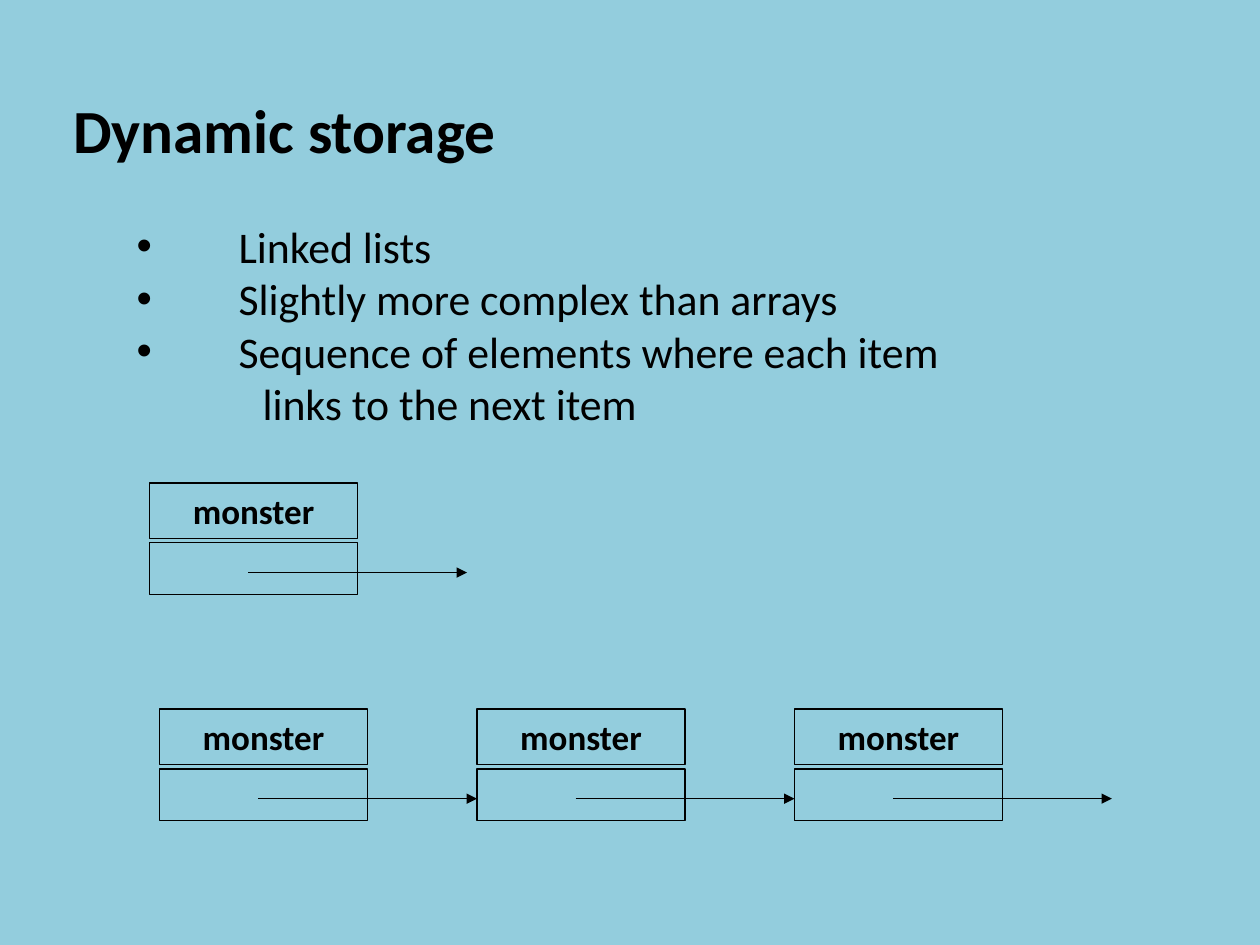
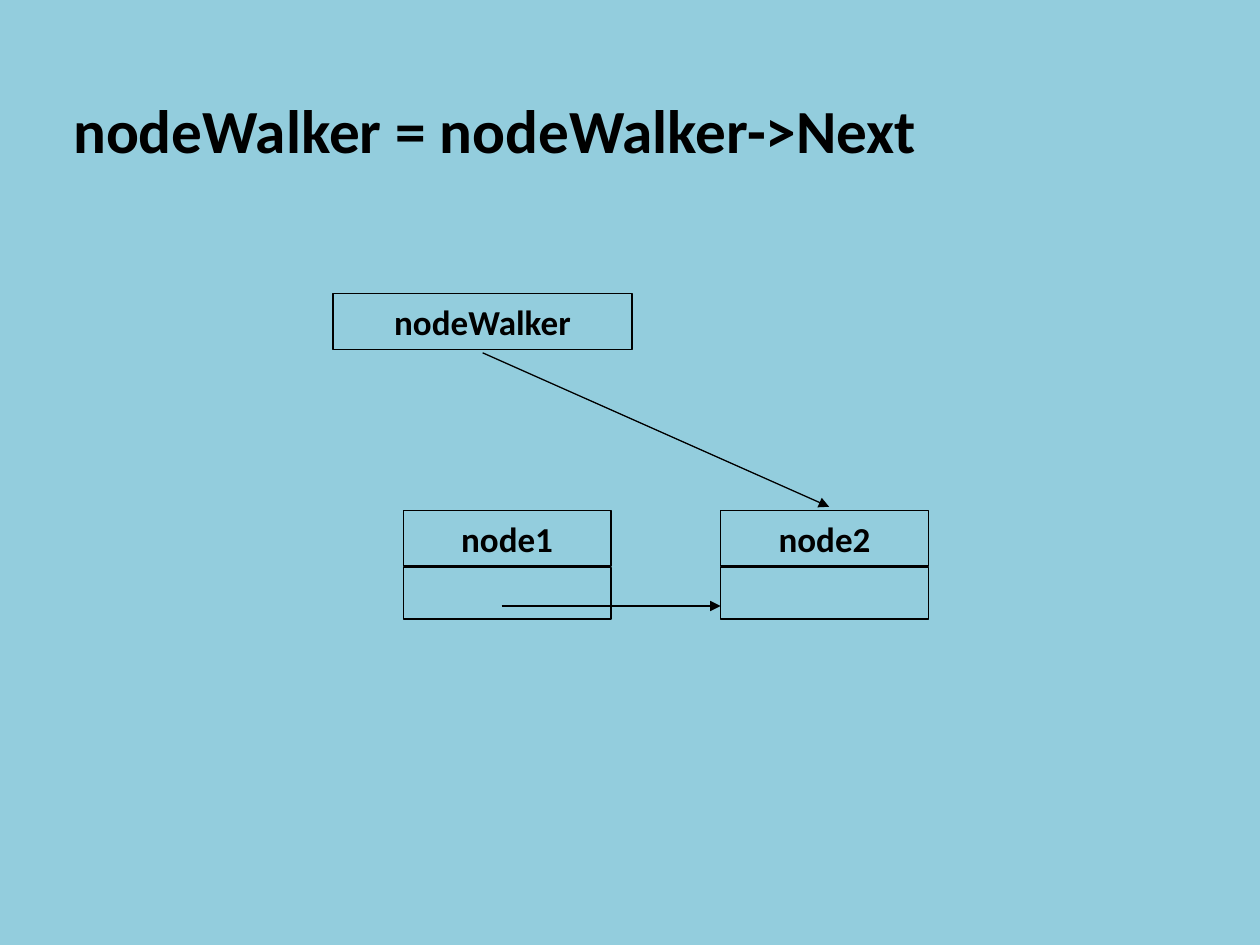
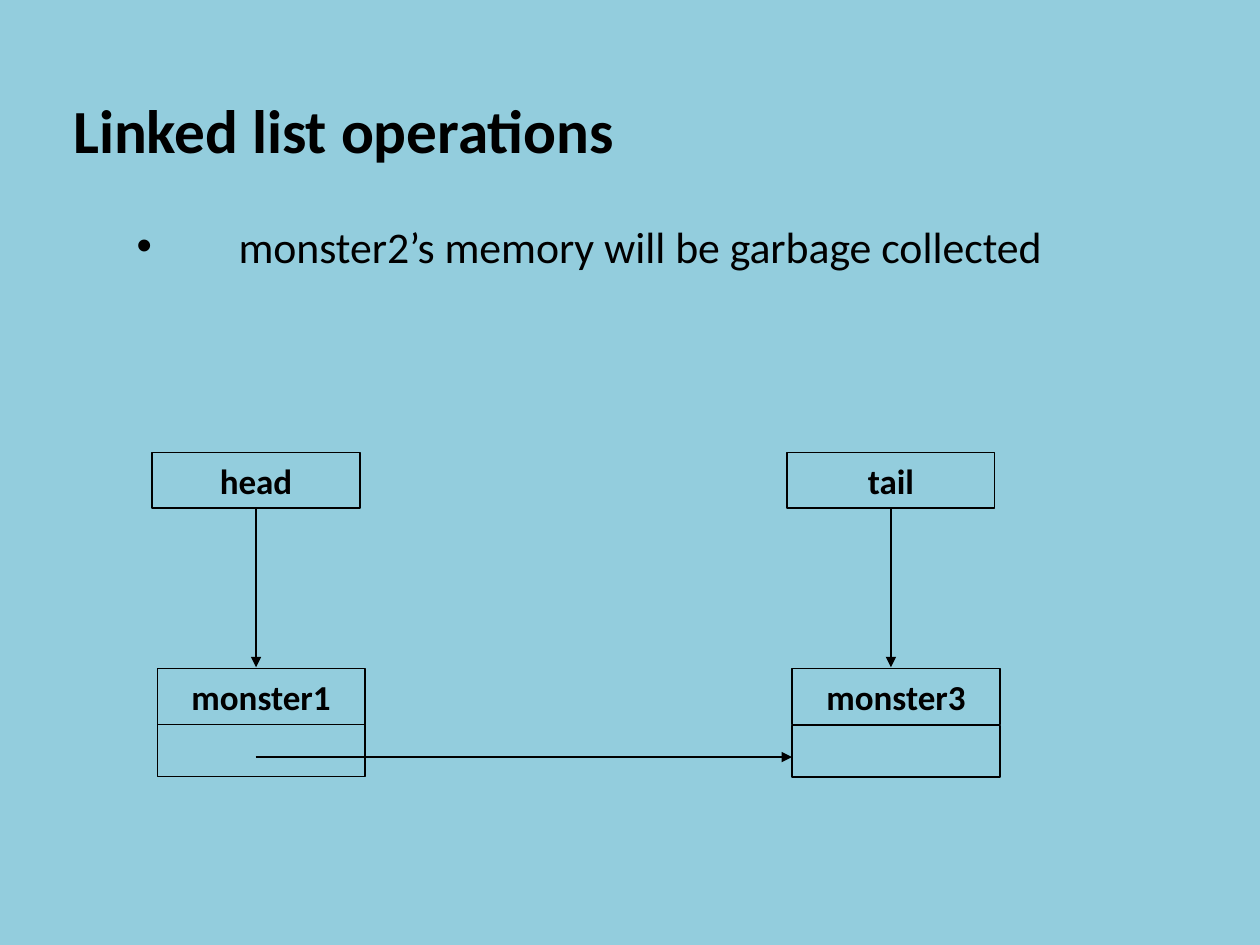
"""Build three slides that explain linked lists with node diagrams."""
from lxml import etree
from pptx import Presentation
from pptx import util as u
from pptx.dml import color
from pptx.enum import shapes, text
from pptx.oxml import ns

FONT = "Calibri"
INK = "000000"
BACKDROP = "93CDDD"
LINE_WIDTH = 0.75
BOX_WIDTH, LABEL_HEIGHT, POINTER_HEIGHT = 118.8, 31.7, 29.5
LINK_START = 56.3
NODE_PITCH = 181.4
TITLE_BOX = (41.8, 52.5, 660, 43)
LIST_LEFT, LIST_TOP, LIST_WIDTH, LIST_PITCH = 78, 125.5, 620, 30
LIST_INDENT, CONTINUATION_INDENT = 58.3, 72


def paint(target, value):
    """Give a fill, line or font colour a hex value."""
    target.rgb = color.RGBColor.from_string(value)


def place(shape, left, top, width, height):
    """Move and size a shape, in points."""
    shape.left, shape.top = u.Pt(left), u.Pt(top)
    shape.width, shape.height = u.Pt(width), u.Pt(height)


def style_font(para, size, bold):
    """Apply the shared typeface and colour to a paragraph."""
    para.font.name, para.font.size, para.font.bold = FONT, u.Pt(size), bold
    paint(para.font.color, INK)


def clear_frame(frame, anchor):
    """Remove insets and automatic fitting from a text frame."""
    frame.margin_left = frame.margin_right = 0
    frame.margin_top = frame.margin_bottom = 0
    frame.auto_size = text.MSO_AUTO_SIZE.NONE
    frame.word_wrap = True
    frame.vertical_anchor = anchor


def add_page(deck, title, items=(), continuation=None):
    """Add a slide with a title and, if there are items, a bulleted list."""
    page = deck.slides.add_slide(deck.slide_layouts[1 if items else 5])
    heading = page.shapes.title
    place(heading, *TITLE_BOX)
    clear_frame(heading.text_frame, text.MSO_ANCHOR.MIDDLE)
    heading.text_frame.text = title
    para = heading.text_frame.paragraphs[0]
    para.alignment = text.PP_ALIGN.LEFT
    style_font(para, 35, True)
    if items:
        fill_list(page.placeholders[1], items, continuation)
    return page


def fill_list(body, items, continuation):
    """Write bulleted items and an optional unbulleted last line."""
    lines = list(items) + ([continuation] if continuation else [])
    place(body, LIST_LEFT, LIST_TOP, LIST_WIDTH, LIST_PITCH * len(lines))
    frame = body.text_frame
    clear_frame(frame, text.MSO_ANCHOR.TOP)
    frame.text = "\n".join(lines)
    for para in frame.paragraphs:
        style_font(para, 25, False)
        para.space_before = u.Pt(0)
        para.line_spacing = u.Pt(LIST_PITCH)
        set_indent(para, LIST_INDENT, -LIST_INDENT)
    if continuation:
        set_indent(para, CONTINUATION_INDENT, 0)
        etree.SubElement(para._p.get_or_add_pPr(), ns.qn("a:buNone"))


def set_indent(para, margin, first):
    """Set the left margin and first-line indent of a paragraph."""
    properties = para._p.get_or_add_pPr()
    properties.set("marL", str(u.Pt(margin)))
    properties.set("indent", str(u.Pt(first)))


def add_box(page, left, top, width, height, label=None):
    """Add an outlined rectangle with an optional bold label."""
    box = page.shapes.add_shape(shapes.MSO_SHAPE.RECTANGLE, 0, 0, 0, 0)
    place(box, left, top, width, height)
    box.shadow.inherit = False
    box.fill.background()
    paint(box.line.color, INK)
    box.line.width = u.Pt(LINE_WIDTH)
    if label:
        box.text_frame.text = label
        para = box.text_frame.paragraphs[0]
        para.alignment = text.PP_ALIGN.CENTER
        style_font(para, 20, True)


def add_arrow(page, start, end):
    """Add a straight line with an arrowhead at its end."""
    arrow = page.shapes.add_connector(
        shapes.MSO_CONNECTOR.STRAIGHT, *map(u.Pt, start + end))
    paint(arrow.line.color, INK)
    arrow.line.width = u.Pt(LINE_WIDTH)
    properties = arrow._element.spPr
    etree.SubElement(properties.get_or_add_ln(), ns.qn("a:tailEnd"), type="triangle")
    etree.SubElement(properties, ns.qn("a:effectLst"))


def add_node(page, left, top, label, pointer_top, link_top=None, reach=NODE_PITCH):
    """Add a label box over a pointer box, with a link that spans the reach."""
    add_box(page, left, top, BOX_WIDTH, LABEL_HEIGHT, label)
    add_box(page, left, top + pointer_top, BOX_WIDTH, POINTER_HEIGHT)
    if link_top:
        height = top + link_top
        add_arrow(page, (left + LINK_START, height), (left + reach, height))


def build_storage(deck):
    """Show one node and a chain of three."""
    page = add_page(
        deck, "Dynamic storage",
        ["Linked lists", "Slightly more complex than arrays",
         "Sequence of elements where each item"],
        "links to the next item")
    spots = [(85.5, 276)] + [(91.2 + NODE_PITCH * i, 405.2) for i in range(3)]
    for left, top in spots:
        add_node(page, left, top, "monster", 34.2, 51.2)


def build_walker(deck):
    """Show the walker moving on to the second node."""
    page = add_page(deck, "nodeWalker = nodeWalker->Next")
    left, top = 230.4, 291.8
    add_node(page, left, top, "node1", 32.4, 54.5)
    add_node(page, left + NODE_PITCH, top, "node2", 32.4)
    add_box(page, 190.2, 167.9, 171, LABEL_HEIGHT, "nodeWalker")
    add_arrow(page, (275.8, 201.6), (473.8, 289.6))


def build_operations(deck):
    """Show head and tail after the middle node is unlinked."""
    page = add_page(deck, "Linked list operations",
                    ["monster2\u2019s memory will be garbage collected"])
    left, top, reach = 89.8, 382.2, NODE_PITCH * 2
    add_node(page, left, top, "monster1", 31.9, 50.4, reach)
    add_node(page, left + reach, top, "monster3", 32.3)
    for index, label in enumerate(["head", "tail"]):
        box_left = 86.9 + reach * index
        centre = box_left + BOX_WIDTH / 2
        add_box(page, box_left, 258.6, BOX_WIDTH, LABEL_HEIGHT, label)
        add_arrow(page, (centre, 290.5), (centre, 381.3))


def main():
    """Build and save the deck."""
    deck = Presentation()
    deck.slide_width, deck.slide_height = u.Pt(720), u.Pt(540)
    backdrop = deck.slide_master.background.fill
    backdrop.solid()
    paint(backdrop.fore_color, BACKDROP)
    build_storage(deck)
    build_walker(deck)
    build_operations(deck)
    deck.save("out.pptx")


main()
